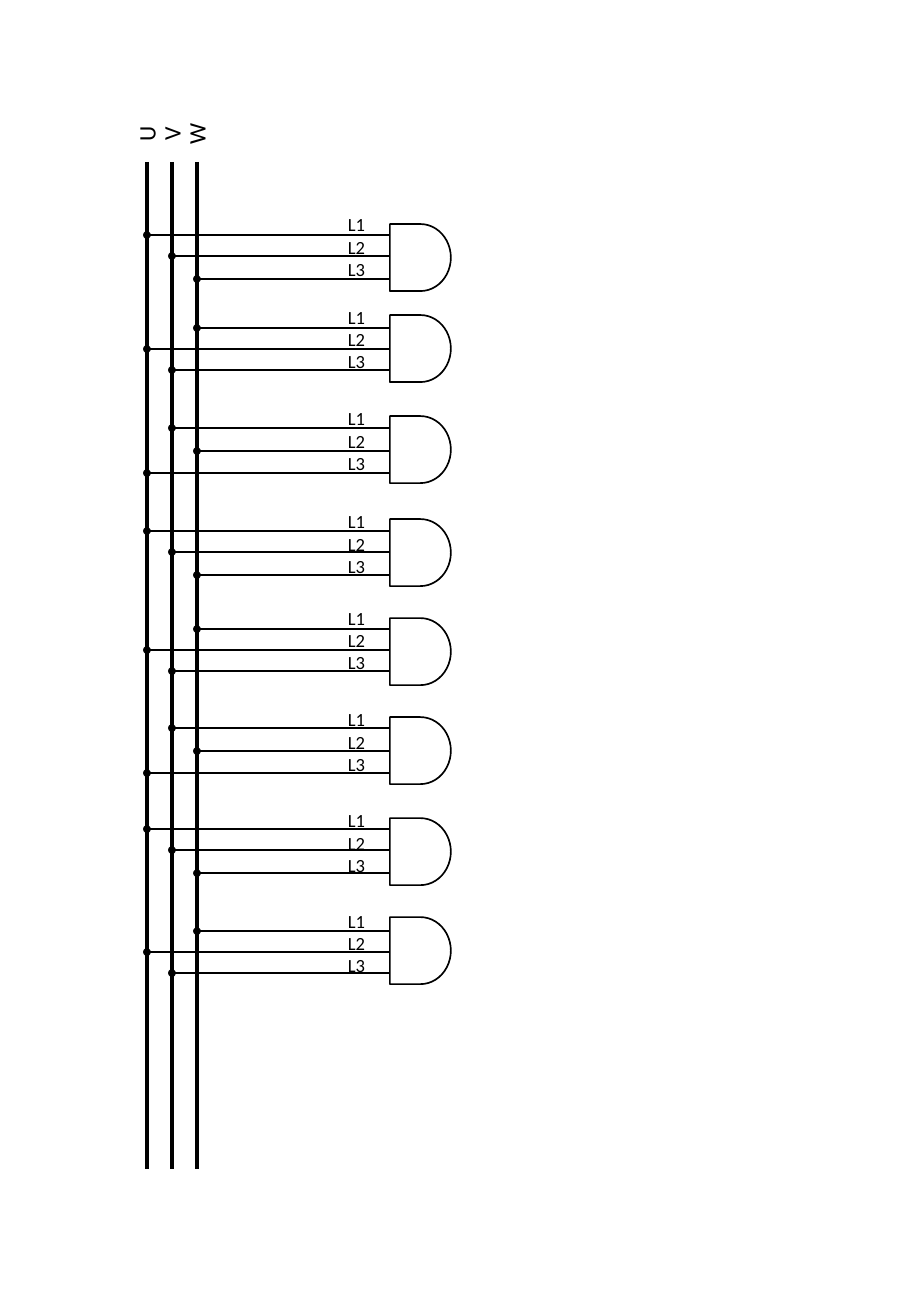
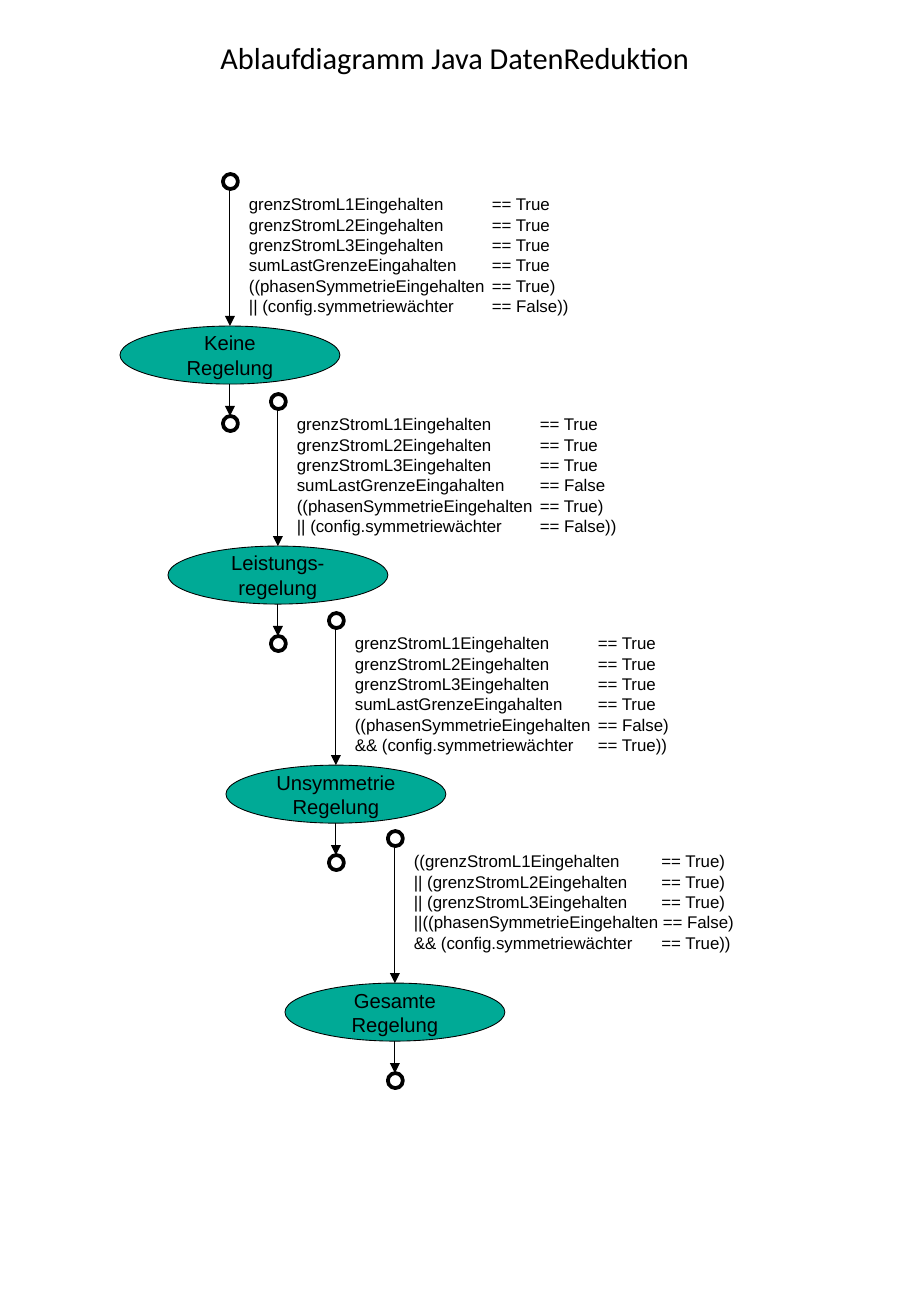
from lxml.etree import SubElement
from pptx import Presentation
from pptx.dml.color import RGBColor
from pptx.enum.shapes import MSO_CONNECTOR as LINK, MSO_SHAPE as SHAPE
from pptx.enum.text import MSO_ANCHOR as ANCHOR, PP_ALIGN as ALIGN
from pptx.oxml.ns import qn
from pptx.util import Emu, Inches, Pt

HUES = {"ink": "000000", "paper": "FFFFFF", "teal": "00AA96"}
SCALE = 914400 / 121.5

RAILS = {"U": 147, "V": 172, "W": 197}
ORDERS = ["UVW", "WUV", "VWU"]
WIRES = [(0, 21, 44), (0, 21, 42), (0, 23, 45)]
TAGS = [(0, 23, 45), (0, 22, 44), (0, 23, 45)]
GATES = [
    (224, 235, 207), (315, 328, 300), (416, 428, 401), (519, 531, 504),
    (618, 629, 601), (717, 728, 702), (818, 829, 803), (917, 931, 904),
]


def px(n):
    return Emu(round(n * SCALE))


def hue(name):
    return RGBColor.from_string(HUES[name])


def write(frame, lines, size, font, align=ALIGN.CENTER):
    frame.word_wrap = True
    for i, line in enumerate(lines):
        para = frame.paragraphs[0] if i == 0 else frame.add_paragraph()
        para.alignment = align
        run = para.add_run()
        run.text = line
        run.font.size = Pt(size)
        run.font.name = font
        run.font.color.rgb = hue("ink")


def label(slide, box, lines, size, font, align=ALIGN.CENTER):
    text = slide.shapes.add_textbox(*map(px, box))
    write(text.text_frame, lines, size, font, align)
    return text


def line(slide, start, end, width, arrow=False):
    link = slide.shapes.add_connector(LINK.STRAIGHT, *map(px, start + end))
    link.line.color.rgb = hue("ink")
    link.line.width = Pt(width)
    props = link.element.spPr
    if arrow:
        SubElement(props.find(qn("a:ln")), qn("a:tailEnd"), type="triangle")
    SubElement(props, qn("a:effectLst"))


def shape(slide, kind, box, width, fill=None):
    item = slide.shapes.add_shape(kind, *map(px, box))
    item.shadow.inherit = False
    if fill:
        item.fill.solid()
        item.fill.fore_color.rgb = hue(fill)
    else:
        item.fill.background()
    item.line.color.rgb = hue("ink")
    item.line.width = Pt(width)
    return item


def rail(slide, name, x):
    line(slide, (x, 162), (x, 1169), 2.25)
    label(slide, (x - 28, 113, 55, 41), [name], 14, "Calibri").rotation = 270


def gate(slide, index, top, wire, tag):
    kind = index % 3
    shape(slide, SHAPE.FLOWCHART_DELAY, (390, top, 61, 67), 1, "paper")
    rows = zip(ORDERS[kind], WIRES[kind], TAGS[kind])
    for i, (phase, drop, shift) in enumerate(rows, 1):
        x, y = RAILS[phase], wire + drop
        line(slide, (390, y), (x + 3, y), 1)
        shape(slide, SHAPE.OVAL, (x - 3, y - 3, 6, 6), 1, "ink")
        label(slide, (329, tag + shift, 55, 35), [f"L{i}"], 11, "Calibri")


def rules(total, phase, guard):
    return [f"grenzStromL{i}Eingehalten\t== True" for i in (1, 2, 3)] + [
        f"sumLastGrenzeEingahalten\t== {total}",
        f"((phasenSymmetrieEingehalten\t== {phase})",
        guard,
    ]


def step(slide, x, y, name, lines, size):
    notes = label(slide, (x + 7, y + 14) + size, lines, 10, "Arial", ALIGN.LEFT)
    for para in notes.text_frame.paragraphs:
        tabs = SubElement(para._p.get_or_add_pPr(), qn("a:tabLst"))
        SubElement(tabs, qn("a:tab"), pos=str(Inches(2)), algn="l")
    line(slide, (x, y + 15), (x, y + 152), 0.5, True)
    oval = shape(slide, SHAPE.OVAL, (x - 110, y + 152, 220, 58), 0.5, "teal")
    oval.text_frame.vertical_anchor = ANCHOR.MIDDLE
    write(oval.text_frame, [name], 12, "Arial")
    line(slide, (x, y + 210), (x, y + 242), 0.5, True)
    for top in (y, y + 242):
        shape(slide, SHAPE.OVAL, (x - 7, top, 15, 15), 2.25)


def wiring(slide):
    for name, x in RAILS.items():
        rail(slide, name, x)
    for i, spots in enumerate(GATES):
        gate(slide, i, *spots)


def flow(slide):
    title = slide.shapes.title
    title.left, title.top, title.width, title.height = map(px, (90, 33, 730, 49))
    title.text_frame.vertical_anchor = ANCHOR.MIDDLE
    write(title.text_frame, ["Ablaufdiagramm Java DatenReduktion"], 18, "Calibri")
    either = "|| (config.symmetriewächter\t== False))"
    both = "&& (config.symmetriewächter\t== True))"
    last = [
        "((grenzStromL1Eingehalten\t == True)",
        "|| (grenzStromL2Eingehalten\t == True)",
        "|| (grenzStromL3Eingehalten\t == True)",
        "||((phasenSymmetrieEingehalten == False)",
        "&& (config.symmetriewächter\t == True))",
    ]
    wide, slim = (374, 135), (346, 156)
    steps = [
        (230, 174, "Keine Regelung", rules(True, True, either), slim),
        (278, 394, "Leistungs-regelung", rules(False, True, either), slim),
        (336, 613, "Unsymmetrie Regelung", rules(True, False, both), slim),
        (395, 831, "Gesamte Regelung", last, wide),
    ]
    for item in steps:
        step(slide, *item)


def main():
    deck = Presentation()
    deck.slide_width, deck.slide_height = Inches(7.5), Inches(10.83)
    wiring(deck.slides.add_slide(deck.slide_layouts[6]))
    flow(deck.slides.add_slide(deck.slide_layouts[5]))
    deck.save("out.pptx")


main()
